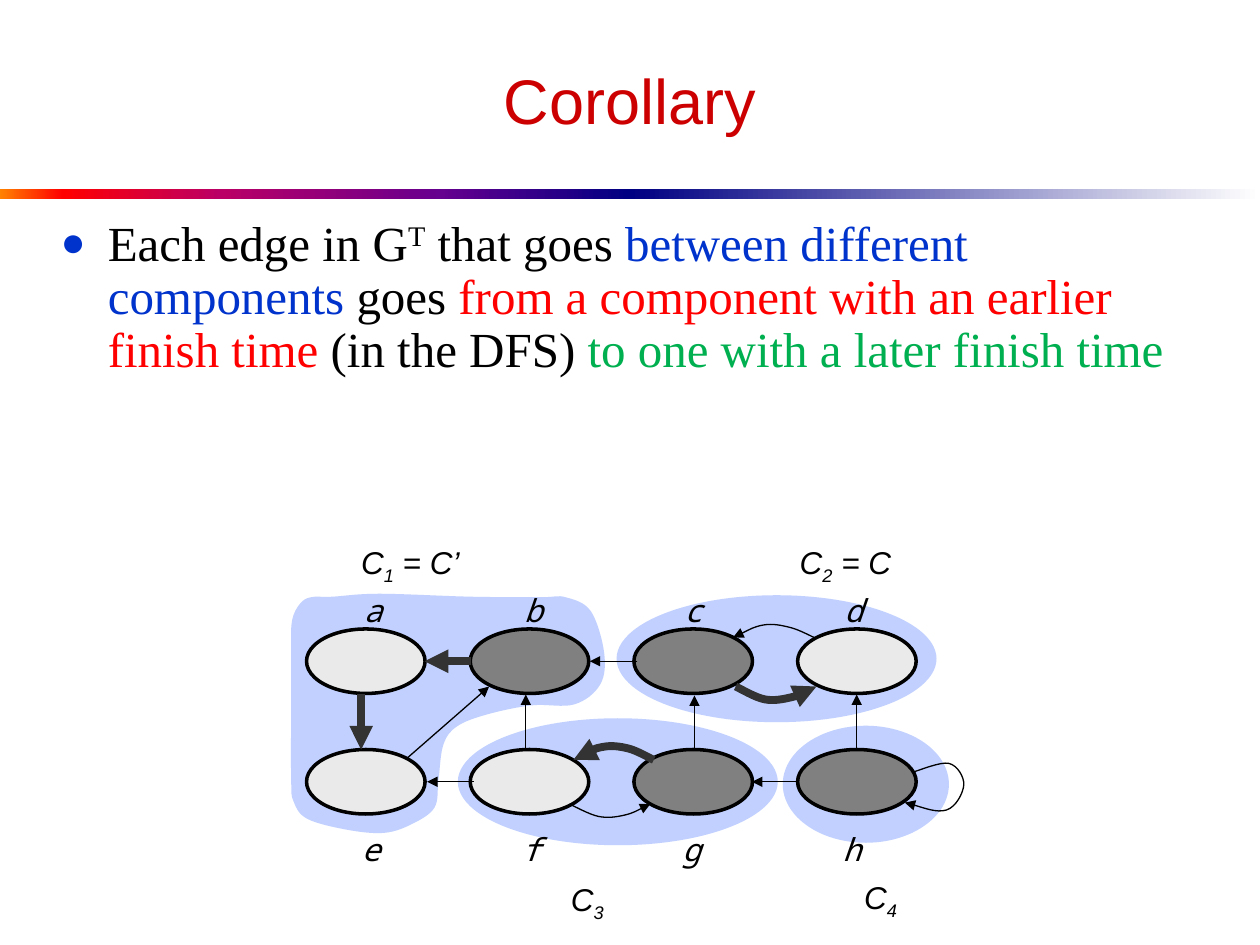
import pptx
import pptx.util
import pptx.dml.color
import pptx.enum.shapes
import pptx.enum.text
import pptx.oxml.ns
import lxml.etree

Cm, Pt = pptx.util.Cm, pptx.util.Pt
RGB = pptx.dml.color.RGBColor
SHAPE = pptx.enum.shapes.MSO_SHAPE
TEXT = pptx.enum.text

BLACK, GREY, DARK = RGB(0, 0, 0), RGB(0x80, 0x80, 0x80), RGB(0x33, 0x33, 0x33)
LIGHT, WHITE = RGB(0xEA, 0xEA, 0xEA), RGB(255, 255, 255)
CRIMSON, RED = RGB(0xCC, 0, 0), RGB(255, 0, 0)
BLUE, GREEN, CLOUD = RGB(0, 0x33, 0xCC), RGB(0, 0xB0, 0x50), RGB(0x33, 0x66, 0xFF)
NAVY = RGB(0, 0, 0x82)

# Content: runs are (text, baseline in percent, colour)
TITLE = [("Corollary", 0, CRIMSON)]
CLAIM = [
    ("Each edge in G", 0, BLACK), ("T", 30, BLACK), (" that goes ", 0, BLACK),
    ("between different components", 0, BLUE), (" goes ", 0, BLACK),
    ("from a component with an earlier finish time", 0, RED),
    (" (in the DFS) ", 0, BLACK),
    ("to one with a later finish time", 0, GREEN),
]
BARS = [
    (0, [(0, RGB(255, 0x82, 0)), (10, RED), (35, RGB(0xBA, 0, 0x66)),
         (70, RGB(0x66, 0, 0x8F)), (100, NAVY)]),
    (12.7, [(0, NAVY), (100, WHITE)]),
]
# Node rows: label top, ellipse top, label left, names, fills
ROWS = [
    (11.79, 12.68, 7.08, "abcd", (LIGHT, GREY, GREY, LIGHT)),
    (16.6, 15.11, 7.04, "efgh", (LIGHT, LIGHT, GREY, GREY)),
]
# Component labels: left, top, width, number, rest
TAGS = [(7.03, 10.82, 2.51, "1", " = C’"), (15.87, 10.82, 2.39, "2", " = C"),
        (11.26, 17.61, 1.19, "3", ""), (17.17, 17.58, 1.19, "4", "")]
OVALS = [(15.78, 14.63, 3.35, 2.36), (12.43, 12, 6.45, 2.56),
         (9.23, 14.48, 6.45, 2.56)]
BLOB = [
    (6.27, 12.04), (6.7, 12.03), (7.65, 11.97), (9.5, 12.03), (10.9, 12.04),
    (11.4, 12.04), (11.91, 12.32), (12.18, 13.16), (12.1, 13.8), (11.58, 14.2),
    (10.72, 14.22), (9.83, 14.4), (9.22, 14.64), (8.94, 15.01), (8.84, 15.72),
    (8.76, 16.28), (8.31, 16.61), (7.75, 16.79), (7.01, 16.73), (6.2, 16.51),
    (5.92, 16.16), (5.87, 15.7), (5.87, 14.1), (5.87, 13.06), (5.89, 12.5),
    (6.05, 12.17),
]
# Edges: width, colour, points from tail to arrowhead
THIN, THICK = (0.75, BLACK), (4.5, DARK)
EDGES = [
    (THICK, [(9.5, 13.33), (8.56, 13.33)]),
    (THIN, [(12.85, 13.33), (11.89, 13.33)]),
    (THIN, [(9.55, 15.76), (8.61, 15.76)]),
    (THIN, [(16.1, 15.76), (15.16, 15.76)]),
    (THICK, [(7.28, 13.99), (7.28, 15.11)]),
    (THIN, [(10.6, 15.09), (10.6, 14)]),
    (THIN, [(14, 15.11), (14, 14.02)]),
    (THIN, [(17.27, 15.11), (17.27, 14)]),
    (THICK, [(13.18, 15.32), (12.67, 15.09), (12.14, 15.06), (11.56, 15.32)]),
    (THIN, [(16.41, 12.85), (15.93, 12.65), (15.39, 12.6), (14.78, 12.85)]),
    (THICK, [(14.83, 13.84), (15.42, 14.1), (15.98, 14.05), (16.46, 13.84)]),
    (THIN, [(11.48, 16.21), (12.07, 16.46), (12.6, 16.43), (13.11, 16.21)]),
    (THIN, [(8.2, 15.29), (9.86, 13.84)]),
    (THIN, [(18.39, 15.57), (19.13, 15.39), (19.43, 15.82), (19.08, 16.33),
            (18.24, 16.18)]),
]

deck = pptx.Presentation()
deck.slide_width, deck.slide_height = Cm(25.4), Cm(19.05)
slide = deck.slides.add_slide(deck.slide_layouts[1])
shapes = slide.shapes


def put(obj, vals):
    for key, val in vals.items():
        setattr(obj, key, val)


def qn(tag):
    return pptx.oxml.ns.qn("a:" + tag)


def add(host, tag, **vals):
    return lxml.etree.SubElement(host, qn(tag), vals)


def box(*nums):
    return dict(zip(("left", "top", "width", "height"), map(Cm, nums)))


def write(para, runs, **style):
    for text, base, color in runs:
        run = para.add_run()
        run.text = text
        put(run.font, style)
        run.font.color.rgb = color
        if base:
            run._r.get_or_add_rPr().set("baseline", str(base * 1000))


def label(spot, runs, font):
    item = shapes.add_textbox(**box(*spot))
    put(item.text_frame, {"word_wrap": False,
                          "auto_size": TEXT.MSO_AUTO_SIZE.SHAPE_TO_FIT_TEXT})
    write(item.text_frame.paragraphs[0], runs, name=font, size=Pt(18), italic=True)


def paint(item, color, alpha=None):
    item.shadow.inherit = False
    item.fill.solid()
    item.fill.fore_color.rgb = color
    if alpha:
        add(item._element.spPr.find(".//" + qn("srgbClr")), "alpha",
            val=str(alpha * 1000))
        item.line.fill.background()


def trace(pts, closed=False):
    """Draw one cubic curve from each point to the next."""
    dots = [(Cm(x), Cm(y)) for x, y in pts + pts[:1] * closed]
    pen = shapes.build_freeform(*dots[0])
    pen.add_line_segments(dots[1:], close=closed)
    item = pen.convert_to_shape()
    geom = item._element.spPr
    spots = [(int(pt.get("x")), int(pt.get("y"))) for pt in geom.iter(qn("pt"))]
    ends = (spots[-2], spots[1]) if closed else (spots[0], spots[-1])
    ring = [ends[0], *spots, ends[1]]
    for seg, a, b, c, d in zip(list(geom.iter(qn("lnTo"))),
                               ring, ring[1:], ring[2:], ring[3:]):
        curve = lxml.etree.Element(qn("cubicBezTo"))
        near = [q + (r - p) / 6 for p, q, r in zip(a, b, c)]
        far = [q - (r - p) / 6 for p, q, r in zip(b, c, d)]
        for x, y in (near, far, c):
            add(curve, "pt", x=str(round(x)), y=str(round(y)))
        seg.getparent().replace(seg, curve)
    return item


# Rule under the title
for left, stops in BARS:
    bar = shapes.add_shape(SHAPE.RECTANGLE, **box(left, 3.81, 12.7, 0.2))
    bar.shadow.inherit = False
    bar.line.fill.background()
    bar.fill.gradient()
    bar.fill.gradient_angle = 0
    ramp = bar._element.spPr.find(".//" + qn("gsLst"))
    ramp.clear()
    for pos, color in stops:
        add(add(ramp, "gs", pos=str(pos * 1000)), "srgbClr", val=str(color))

# Title and claim
head, body = shapes.title, slide.placeholders[1]
put(head, box(1.27, 0.64, 22.86, 2.74))
put(body, box(0.97, 4.29, 22.86, 6.32))
for item, anchor in ((head, TEXT.MSO_ANCHOR.MIDDLE), (body, TEXT.MSO_ANCHOR.TOP)):
    put(item.text_frame, {"vertical_anchor": anchor, "word_wrap": True,
                          "auto_size": TEXT.MSO_AUTO_SIZE.NONE})
para = head.text_frame.paragraphs[0]
para.alignment = TEXT.PP_ALIGN.CENTER
write(para, TITLE, name="Arial", size=Pt(36))
para = body.text_frame.paragraphs[0]
put(para, {"line_spacing": 0.9, "space_before": Pt(5.6)})
write(para, CLAIM, name="Times New Roman", size=Pt(28))
props = para._p.get_or_add_pPr()
props.set("marL", str(Cm(0.95)))
props.set("indent", str(-Cm(0.95)))
add(add(props, "buClr"), "srgbClr", val=str(BLUE))
add(props, "buSzPct", val="85000")
add(props, "buFont", typeface="Times New Roman")
add(props, "buChar", char="●")

# Components
paint(trace(BLOB, True), CLOUD, 30)
for spot in OVALS:
    paint(shapes.add_shape(SHAPE.OVAL, **box(*spot)), CLOUD, 30)
for left, top, width, num, rest in TAGS:
    runs = [("C", 0, BLACK), (num, -25, BLACK), (rest, 0, BLACK)]
    label((left, top, width, 1.02), [run for run in runs if run[0]], "Arial")

# Nodes
for high, top, left, names, fills in ROWS:
    for col, (name, fill) in enumerate(zip(names, fills)):
        node = shapes.add_shape(SHAPE.OVAL, **box(6.18 + 3.3 * col, top, 2.39, 1.3))
        paint(node, fill)
        put(node.line, {"width": Pt(2)})
        node.line.color.rgb = BLACK
        label((left + 3.23 * col, high, 0.78, 1.02), [(name, 0, BLACK)],
              "Noto Sans Mono")

# Edges
for (width, color), pts in EDGES:
    if len(pts) == 2:
        edge = shapes.add_connector(pptx.enum.shapes.MSO_CONNECTOR.STRAIGHT,
                                    *[Cm(v) for pt in pts for v in pt])
    else:
        edge = trace(pts)
        edge.fill.background()
    edge.line.color.rgb = color
    edge.line.width = Pt(width)
    add(edge.line._get_or_add_ln(), "tailEnd", type="triangle")
    add(edge._element.spPr, "effectLst")

deck.save("out.pptx")
